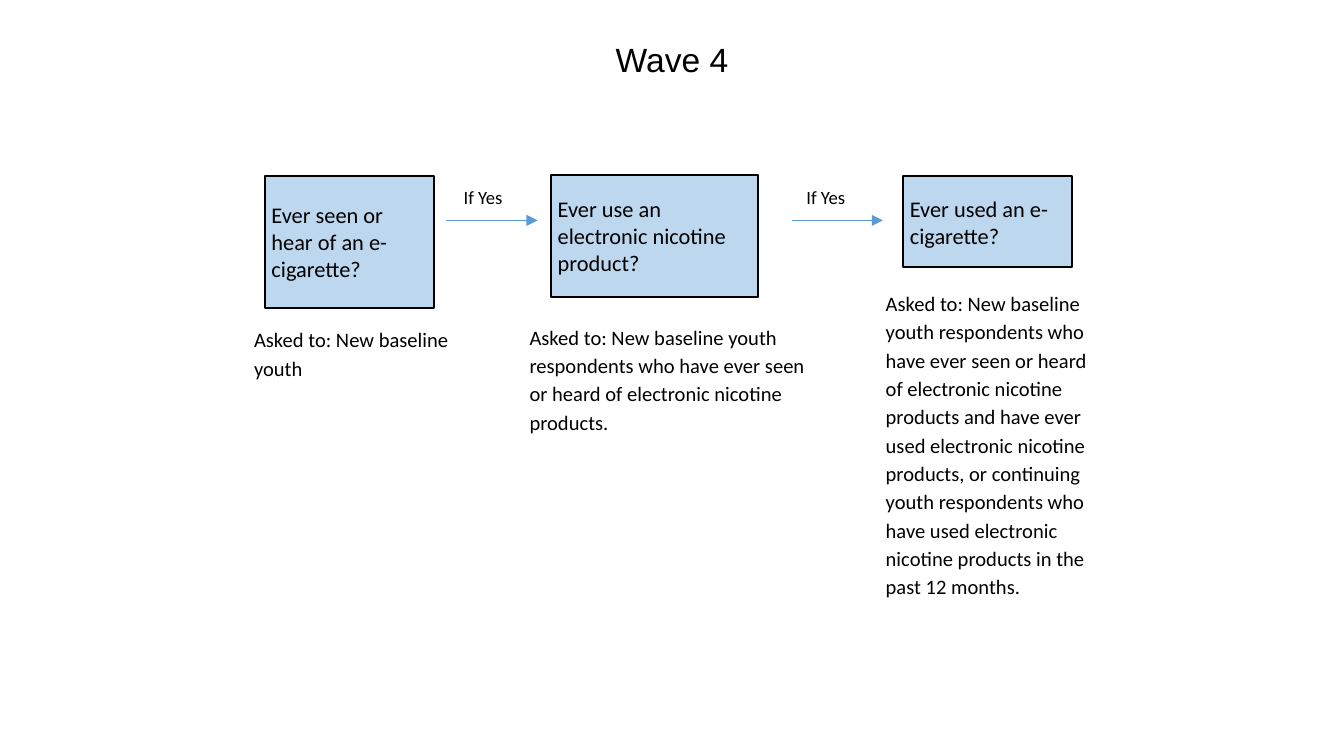
from lxml import etree
from pptx import Presentation
from pptx.dml.color import RGBColor
from pptx.enum.shapes import MSO_CONNECTOR, MSO_SHAPE
from pptx.enum.text import MSO_ANCHOR, PP_ALIGN
from pptx.oxml.ns import qn
from pptx.util import Inches, Pt

RECTANGLE = MSO_SHAPE.RECTANGLE
STRAIGHT = MSO_CONNECTOR.STRAIGHT
TOP, MIDDLE = MSO_ANCHOR.TOP, MSO_ANCHOR.MIDDLE
LEFT, CENTER = PP_ALIGN.LEFT, PP_ALIGN.CENTER

COLORS = {"text": "000000", "box": "BDD7EE", "arrow": "5B9BD5"}
SLIDE_WIDTH = 10
SLIDE_HEIGHT = SLIDE_WIDTH * 9 / 16
TITLE = "Wave 4"
QUESTIONS = [
    {"question": "Ever seen or hear of an e-cigarette?",
     "box": (1.97, 1.31, 1.26, 0.98),
     "asked": "Asked to: New baseline youth",
     "asked_box": (1.84, 2.36, 1.61, 0.54)},
    {"question": "Ever use an electronic nicotine product?",
     "box": (4.1, 1.3, 1.54, 0.91),
     "asked": "Asked to: New baseline youth respondents who have ever seen "
              "or heard of electronic nicotine products.",
     "asked_box": (3.89, 2.34, 2.3, 1.25)},
    {"question": "Ever used an e-cigarette?",
     "box": (6.72, 1.31, 1.26, 0.68),
     "asked": "Asked to: New baseline youth respondents who have ever seen "
              "or heard of electronic nicotine products and have ever used "
              "electronic nicotine products, or continuing youth respondents "
              "who have used electronic nicotine products in the past 12 months.",
     "asked_box": (6.54, 2.09, 1.61, 2.84)},
]
CONDITION = "If Yes"
BRANCHES = [{"arrow": 3.32, "label": 3.4}, {"arrow": 5.89, "label": 5.95}]
ARROW_Y, ARROW_LENGTH = 1.64, 0.68
LABEL_TOP, LABEL_WIDTH, LABEL_HEIGHT = 1.32, 1.89, 0.34


def color(name):
    return RGBColor.from_string(COLORS[name])


def inches(values):
    return [Inches(value) for value in values]


def write(shape, text, size, font="Calibri", align=LEFT, anchor=TOP,
          spacing=1.0, inset=0.05):
    frame = shape.text_frame
    frame.word_wrap = True
    frame.vertical_anchor = anchor
    frame.margin_left = frame.margin_right = Inches(inset)
    frame.margin_top = frame.margin_bottom = Inches(inset)
    paragraph = frame.paragraphs[0]
    paragraph.alignment = align
    paragraph.line_spacing = spacing
    run = paragraph.add_run()
    run.text = text
    run.font.size = Pt(size)
    run.font.name = font
    run.font.color.rgb = color("text")


def add_question(shapes, text, box):
    question = shapes.add_shape(RECTANGLE, *inches(box))
    question.shadow.inherit = False
    question.fill.solid()
    question.fill.fore_color.rgb = color("box")
    question.line.color.rgb = color("text")
    question.line.width = Pt(1)
    write(question, text, 12, anchor=MIDDLE)


def add_arrow(shapes, left):
    ends = inches((left, ARROW_Y, left + ARROW_LENGTH, ARROW_Y))
    arrow = shapes.add_connector(STRAIGHT, *ends)
    arrow.line.color.rgb = color("arrow")
    arrow.line.width = Pt(0.75)
    etree.SubElement(arrow.line._get_or_add_ln(), qn("a:tailEnd"), type="triangle")
    etree.SubElement(arrow._element.spPr, qn("a:effectLst"))


deck = Presentation()
deck.slide_width, deck.slide_height = inches((SLIDE_WIDTH, SLIDE_HEIGHT))
slide = deck.slides.add_slide(deck.slide_layouts[5])
shapes = slide.shapes

title = shapes.title
title.left, title.top, title.width, title.height = inches((0.34, 0.19, 9.32, 0.63))
write(title, TITLE, 18, font="Arial", align=CENTER, inset=0.1)

for item in QUESTIONS:
    add_question(shapes, item["question"], item["box"])
    asked = shapes.add_textbox(*inches(item["asked_box"]))
    write(asked, item["asked"], 11, spacing=1.15)

for branch in BRANCHES:
    add_arrow(shapes, branch["arrow"])
    label = shapes.add_textbox(
        *inches((branch["label"], LABEL_TOP, LABEL_WIDTH, LABEL_HEIGHT)))
    write(label, CONDITION, 10, spacing=1.07)

deck.save("out.pptx")
